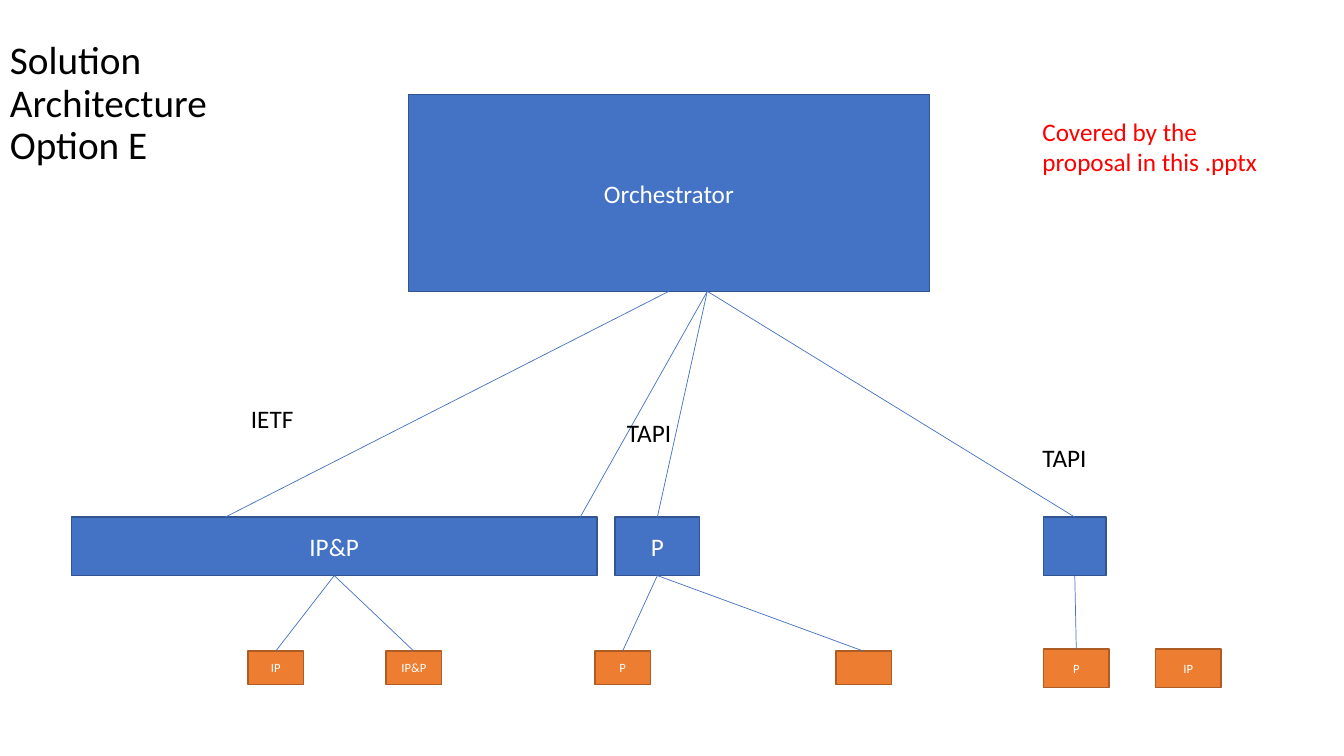
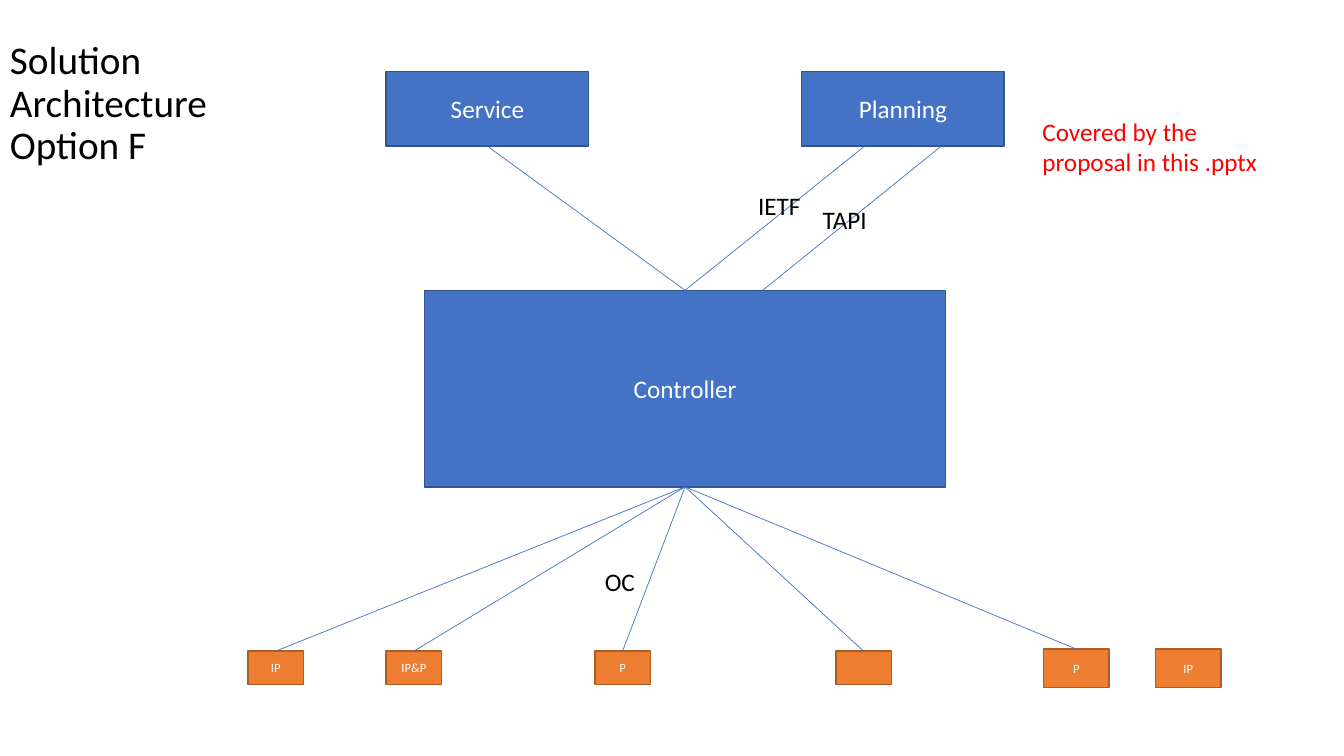
from dataclasses import dataclass

from lxml.etree import SubElement
from pptx import Presentation
from pptx.dml.color import RGBColor
from pptx.enum.shapes import MSO_CONNECTOR, MSO_SHAPE
from pptx.enum.text import MSO_ANCHOR, MSO_AUTO_SIZE, PP_ALIGN
from pptx.oxml.ns import qn
from pptx.shapes.autoshape import Shape
from pptx.slide import Slide
from pptx.util import Emu, Pt

EMU_PER_PX = 9144
FONT = "Calibri"
BLUE, BLUE_EDGE = "4472C4", "325491"
ORANGE, ORANGE_EDGE = "ED7D31", "AF5C24"
BLACK, WHITE, RED = "000000", "FFFFFF", "FF0000"
TOP, BOTTOM = 0, 2


@dataclass(frozen=True)
class Box:
    key: str
    text: str
    left: int
    top: int
    width: int
    height: int
    fill: str = BLUE
    edge: str = BLUE_EDGE
    size: int = 18


@dataclass(frozen=True)
class Link:
    upper: str
    lower: str
    upper_shift: int = 0
    lower_shift: int = 0


@dataclass(frozen=True)
class Label:
    text: str
    left: int
    top: int
    width: int
    height: int = 40
    color: str = BLACK
    wrap: bool = True


@dataclass(frozen=True)
class Architecture:
    option: str
    boxes: list[Box]
    links: list[Link]
    labels: list[Label]


def small_device(key: str, text: str, left: int) -> Box:
    return Box(key, text, left, 646, 55, 33, ORANGE, ORANGE_EDGE, 9)


def large_device(key: str, text: str, left: int) -> Box:
    return Box(key, text, left, 644, 65, 38, ORANGE, ORANGE_EDGE, 9)


DEVICES = [
    small_device("ip device", "IP", 246),
    small_device("ip&p device", "IP&P", 383),
    small_device("p device", "P", 590),
    small_device("unnamed device", "", 829),
    large_device("right p device", "P", 1035),
    large_device("right ip device", "IP", 1146),
]
LINKED_DEVICES = DEVICES[:-1]
NOTE = Label("Covered by the proposal in this .pptx", 1024, 110, 238, 71, RED)

ARCHITECTURES = [
    Architecture(
        "E",
        [
            Box("orchestrator", "Orchestrator", 405, 94, 517, 195),
            Box("ip&p", "IP&P", 71, 513, 521, 58),
            Box("p", "P", 610, 513, 84, 58),
            Box("unnamed", "", 1035, 513, 62, 58),
        ],
        [
            Link("orchestrator", "ip&p", 0, -108),
            Link("orchestrator", "ip&p", 38, 244),
            Link("orchestrator", "p", 38),
            Link("orchestrator", "unnamed", 38),
            Link("ip&p", "ip device"),
            Link("ip&p", "ip&p device"),
            Link("p", "p device"),
            Link("p", "unnamed device"),
            Link("unnamed", "right p device"),
        ],
        [
            Label("IETF", 239, 395, 63, wrap=False),
            Label("TAPI", 612, 409, 123),
            Label("TAPI", 1024, 434, 123),
        ],
    ),
    Architecture(
        "F",
        [
            Box("service", "Service", 383, 71, 201, 74),
            Box("planning", "Planning", 795, 71, 201, 74),
            Box("controller", "Controller", 421, 288, 517, 195),
        ],
        [
            Link("service", "controller"),
            Link("planning", "controller", -38),
            Link("planning", "controller", 38, 77),
            *(Link("controller", device.key) for device in LINKED_DEVICES),
        ],
        [
            Label("IETF", 742, 184, 63, wrap=False),
            Label("TAPI", 806, 198, 123),
            Label("OC", 590, 557, 50, wrap=False),
        ],
    ),
]


def px(length: int) -> Emu:
    return Emu(length * EMU_PER_PX)


def rgb(color: str) -> RGBColor:
    return RGBColor.from_string(color)


def write(shape: Shape, text: str, size: int, color: str, align: PP_ALIGN) -> None:
    para = shape.text_frame.paragraphs[0]
    para.text = text
    para.alignment = align
    para.font.name = FONT
    para.font.size = Pt(size)
    para.font.color.rgb = rgb(color)


def draw_box(page: Slide, box: Box) -> Shape:
    shape = page.shapes.add_shape(
        MSO_SHAPE.RECTANGLE, px(box.left), px(box.top), px(box.width), px(box.height)
    )
    shape.shadow.inherit = False
    shape.fill.solid()
    shape.fill.fore_color.rgb = rgb(box.fill)
    shape.line.color.rgb = rgb(box.edge)
    shape.line.width = Pt(1)
    shape.text_frame.vertical_anchor = MSO_ANCHOR.MIDDLE
    write(shape, box.text, box.size, WHITE, PP_ALIGN.CENTER)
    return shape


def draw_link(page: Slide, link: Link, shapes: dict[str, Shape]) -> None:
    upper, lower = shapes[link.upper], shapes[link.lower]
    line = page.shapes.add_connector(
        MSO_CONNECTOR.STRAIGHT,
        upper.left + upper.width // 2 + px(link.upper_shift),
        upper.top + upper.height,
        lower.left + lower.width // 2 + px(link.lower_shift),
        lower.top,
    )
    if not link.upper_shift:
        line.begin_connect(upper, BOTTOM)
    if not link.lower_shift:
        line.end_connect(lower, TOP)
    line.line.color.rgb = rgb(BLUE)
    line.line.width = Pt(0.5)
    SubElement(line._element.spPr, qn("a:effectLst"))


def draw_label(page: Slide, label: Label) -> None:
    shape = page.shapes.add_textbox(
        px(label.left), px(label.top), px(label.width), px(label.height)
    )
    shape.text_frame.word_wrap = label.wrap
    shape.text_frame.auto_size = MSO_AUTO_SIZE.SHAPE_TO_FIT_TEXT
    write(shape, label.text, 18, label.color, PP_ALIGN.LEFT)


def draw_title(page: Slide, option: str) -> None:
    shape = page.shapes.add_textbox(px(0), px(31), px(302), px(145))
    shape.text_frame.word_wrap = True
    shape.text_frame.vertical_anchor = MSO_ANCHOR.MIDDLE
    write(shape, f"Solution Architecture Option {option}", 28, BLACK, PP_ALIGN.LEFT)
    shape.text_frame.paragraphs[0].line_spacing = 0.9


def draw_architecture(page: Slide, architecture: Architecture) -> None:
    shapes = {box.key: draw_box(page, box) for box in architecture.boxes + DEVICES}
    for link in architecture.links:
        draw_link(page, link, shapes)
    for label in [*architecture.labels, NOTE]:
        draw_label(page, label)
    draw_title(page, architecture.option)


def main() -> None:
    deck = Presentation()
    deck.slide_width, deck.slide_height = px(1333), px(750)
    blank = deck.slide_layouts[6]
    for architecture in ARCHITECTURES:
        draw_architecture(deck.slides.add_slide(blank), architecture)
    deck.save("out.pptx")


if __name__ == "__main__":
    main()
